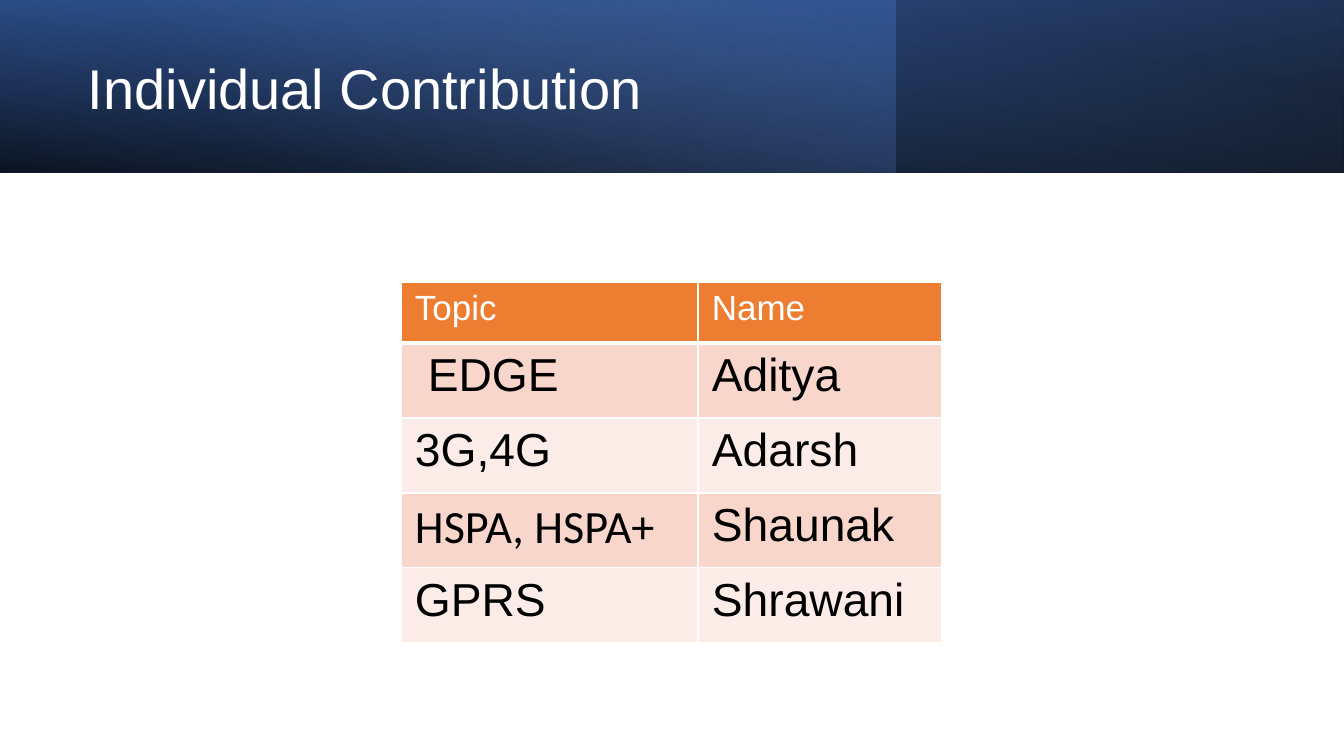
"""Build the Individual Contribution slide: a gradient title band and a table."""
from pptx import Presentation
from pptx.dml.color import RGBColor
from pptx.enum.shapes import MSO_SHAPE
from pptx.enum.text import MSO_ANCHOR
from pptx.oxml import parse_xml
from pptx.oxml.ns import nsdecls
from pptx.util import Emu, Pt

RECTANGLE = MSO_SHAPE.RECTANGLE
MIDDLE = MSO_ANCHOR.MIDDLE

TITLE = "Individual Contribution"
CONTRIBUTIONS = [
    ("Topic", "Name"),
    (" EDGE", "Aditya"),
    ("3G,4G", "Adarsh"),
    ("HSPA, HSPA+", "Shaunak"),
    ("GPRS", "Shrawani"),
]
CALIBRI_TEXT = "HSPA, HSPA+"

SLIDE_WIDTH, SLIDE_HEIGHT = 1344, 756
BAND_HEIGHT = 173
# width, rotation, flipped, angle, stops of (position %, colour, opacity %)
BAND_LAYERS = [
    (SLIDE_WIDTH, 180, True, 100, [(0, "000000", 96), (100, "2F5597", 100)]),
    (896, 0, False, 140, [(0, "4472C4", 41), (74, "8FAADC", 0)]),
    (SLIDE_WIDTH, 0, True, 260, [(0, "000000", 63), (78, "4472C4", 15)]),
]
TITLE_BOX = (78, 27, 778, 128)
TABLE_LEFT, TABLE_TOP = 401, 282
COLUMN_WIDTHS = [297, 244]
HEADER_HEIGHT, BODY_HEIGHT = 61, 75
CELL_MARGIN_X, CELL_MARGIN_Y = 14, 7
HEADER_FILL, BODY_FILLS = "ED7D31", ("F8D6CC", "FCECE7")
WHITE, BLACK = "FFFFFF", "000000"


def px(length):
    return Emu(round(length * 914400 / 100.8))


def rgb(value):
    return RGBColor.from_string(value)


def style_text(frame, size, color, font="Arial"):
    run_font = frame.paragraphs[0].runs[0].font
    run_font.size, run_font.name = Pt(size), font
    run_font.color.rgb = rgb(color)


def add_band_layer(slide, width, rotation, flipped, angle, stops):
    layer = slide.shapes.add_shape(RECTANGLE, 0, 0, px(width), px(BAND_HEIGHT))
    layer.shadow.inherit = False
    layer.line.fill.background()
    layer.rotation = rotation
    properties = layer.element.spPr
    if flipped:
        properties.xfrm.set("flipH", "1")
    stop_xml = "".join(
        f'<a:gs pos="{position * 1000}"><a:srgbClr val="{color}">'
        f'<a:alpha val="{opacity * 1000}"/></a:srgbClr></a:gs>'
        for position, color, opacity in stops
    )
    properties.prstGeom.addnext(parse_xml(
        f'<a:gradFill {nsdecls("a")} rotWithShape="1"><a:gsLst>{stop_xml}</a:gsLst>'
        f'<a:lin ang="{angle * 60000}" scaled="0"/></a:gradFill>'
    ))


def add_title(slide):
    title = slide.shapes.add_textbox(*map(px, TITLE_BOX)).text_frame
    title.word_wrap = True
    title.vertical_anchor = MIDDLE
    title.text = TITLE
    title.paragraphs[0].line_spacing = 0.9
    style_text(title, 40, WHITE)


def set_borders(cell, row):
    widths = {"L": 1, "R": 1, "T": 3 if row == 1 else 1, "B": 3 if row == 0 else 1}
    properties = cell._tc.get_or_add_tcPr()
    for side, width in widths.items():
        properties.append(parse_xml(
            f'<a:ln{side} {nsdecls("a")} w="{Pt(width)}"><a:solidFill>'
            f'<a:srgbClr val="{WHITE}"/></a:solidFill></a:ln{side}>'
        ))


def add_contributions(slide):
    heights = [HEADER_HEIGHT] + [BODY_HEIGHT] * (len(CONTRIBUTIONS) - 1)
    table = slide.shapes.add_table(
        len(heights), len(COLUMN_WIDTHS), px(TABLE_LEFT), px(TABLE_TOP),
        px(sum(COLUMN_WIDTHS)), px(sum(heights)),
    ).table
    for column, width in zip(table.columns, COLUMN_WIDTHS):
        column.width = px(width)
    for row, (height, entries) in enumerate(zip(heights, CONTRIBUTIONS)):
        table.rows[row].height = px(height)
        header = row == 0
        fill = HEADER_FILL if header else BODY_FILLS[(row - 1) % 2]
        for column, entry in enumerate(entries):
            cell = table.cell(row, column)
            cell.margin_left = cell.margin_right = px(CELL_MARGIN_X)
            cell.margin_top = cell.margin_bottom = px(CELL_MARGIN_Y)
            set_borders(cell, row)
            cell.fill.solid()
            cell.fill.fore_color.rgb = rgb(fill)
            cell.text_frame.text = entry
            style_text(cell.text_frame, 25 if header else 33,
                       WHITE if header else BLACK,
                       "Calibri" if entry == CALIBRI_TEXT else "Arial")


def main():
    deck = Presentation()
    deck.slide_width, deck.slide_height = px(SLIDE_WIDTH), px(SLIDE_HEIGHT)
    slide = deck.slides.add_slide(deck.slide_layouts[6])
    for layer in BAND_LAYERS:
        add_band_layer(slide, *layer)
    add_title(slide)
    add_contributions(slide)
    deck.save("out.pptx")


if __name__ == "__main__":
    main()
